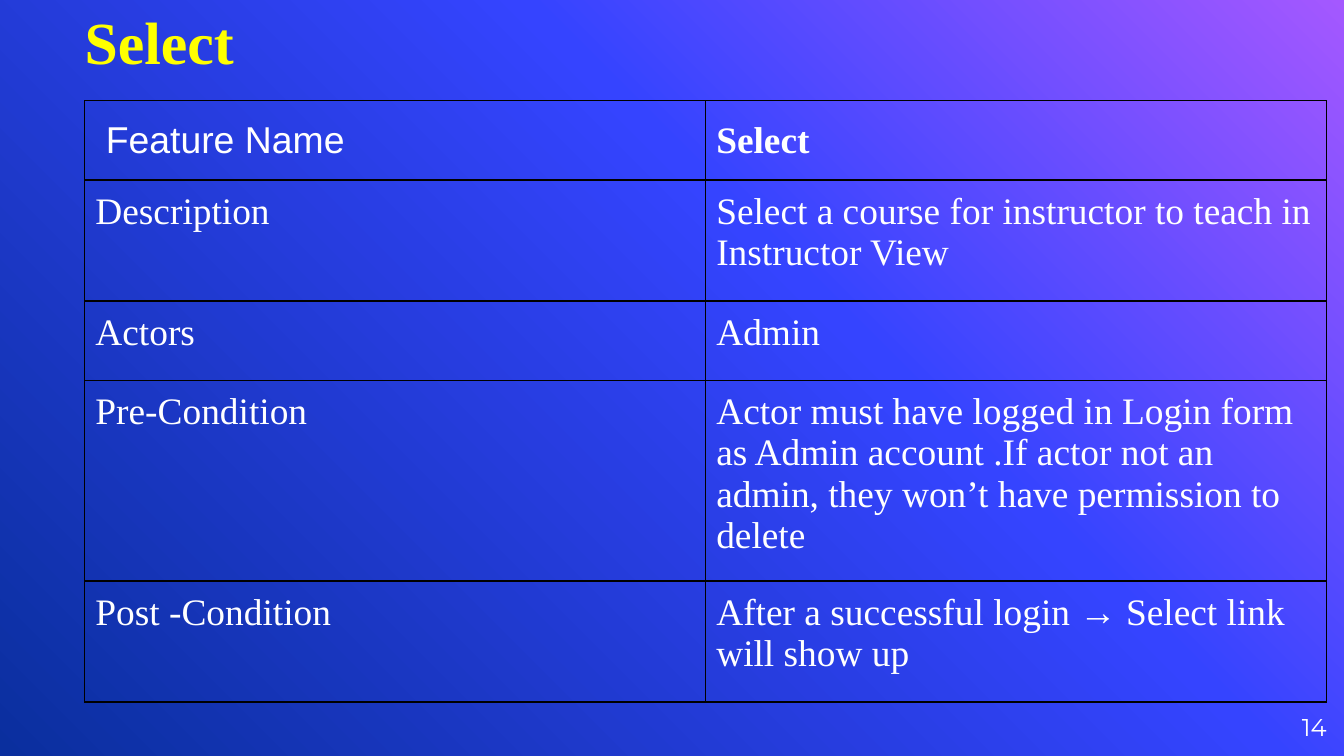
from copy import deepcopy

from lxml import etree
from pptx import Presentation
from pptx.dml.color import RGBColor
from pptx.enum.text import MSO_ANCHOR, PP_ALIGN
from pptx.oxml.ns import qn
from pptx.util import Inches, Pt

TOP, MIDDLE, BOTTOM = MSO_ANCHOR.TOP, MSO_ANCHOR.MIDDLE, MSO_ANCHOR.BOTTOM
LEFT, RIGHT = PP_ALIGN.LEFT, PP_ALIGN.RIGHT

COLORS = {"title": "FFFF00", "text": "FFFFFF", "border": "000000"}
BACKDROP = [(0, "A458FF"), (0.39, "3544FF"), (1, "0A2F9E")]
SERIF, SANS, NUMBER_FONT = "Times New Roman", "Arial", "Montserrat"

TITLE = "Select"
PAGE_NUMBER = "14"
# label, value, minimum row height (rows grow with their text)
FEATURE_ROWS = [
    (" Feature Name", "Select", 0.59),
    ("Description", "Select a course for instructor to teach in Instructor View", 0.9),
    ("Actors", "Admin", 0.59),
    ("Pre-Condition", "Actor must have logged in Login form as Admin account .If actor "
     "not an admin, they won’t have permission to delete", 0.59),
    ("Post -Condition", "After a successful login → Select link will show up", 0.9),
]
TABLE_LEFT, TABLE_TOP, COLUMN_WIDTH = 0.63, 0.75, 4.62
CELL_MARGIN = 0.08


def paint_background(slide):
    fill = slide.background.fill
    fill.gradient()
    fill.gradient_angle = 225  # counter-clockwise: runs from top right to bottom left
    stop_list = next(slide.element.iter(qn("a:gsLst")))
    stop_list.append(deepcopy(stop_list[0]))
    for stop, (position, color) in zip(fill.gradient_stops, BACKDROP):
        stop.position = position
        stop.color.rgb = RGBColor.from_string(color)


def style_text(frame, size, font, color, bold=False, align=LEFT):
    for paragraph in frame.paragraphs:
        paragraph.alignment = align
        for run in paragraph.runs:
            run.font.size = Pt(size)
            run.font.name = font
            run.font.bold = bold
            run.font.color.rgb = RGBColor.from_string(COLORS[color])


def add_label(slide, text, box, anchor, **style):
    frame = slide.shapes.add_textbox(*map(Inches, box)).text_frame
    frame.word_wrap = True
    frame.vertical_anchor = anchor
    frame.margin_left = frame.margin_right = frame.margin_top = frame.margin_bottom = 0
    frame.text = text
    style_text(frame, **style)


def add_borders(cell):
    properties = cell._tc.get_or_add_tcPr()
    for index, side in enumerate(("lnL", "lnR", "lnT", "lnB")):
        line = etree.Element(qn(f"a:{side}"), w=str(Pt(0.75)))
        solid = etree.SubElement(line, qn("a:solidFill"))
        etree.SubElement(solid, qn("a:srgbClr"), val=COLORS["border"])
        properties.insert(index, line)


def add_feature_table(slide):
    heights = [height for _, _, height in FEATURE_ROWS]
    table = slide.shapes.add_table(
        len(FEATURE_ROWS), 2, Inches(TABLE_LEFT), Inches(TABLE_TOP),
        Inches(2 * COLUMN_WIDTH), Inches(sum(heights))).table
    table.first_row = table.horz_banding = False
    for row_index, (label, value, height) in enumerate(FEATURE_ROWS):
        table.rows[row_index].height = Inches(height)
        is_header = row_index == 0
        for column_index, text in enumerate((label, value)):
            cell = table.cell(row_index, column_index)
            cell.text = text
            cell.fill.background()
            cell.vertical_anchor = MIDDLE if is_header else TOP
            cell.margin_left = cell.margin_right = Inches(CELL_MARGIN)
            cell.margin_top = cell.margin_bottom = Inches(CELL_MARGIN)
            is_label = column_index == 0
            style_text(cell.text_frame, 20, SANS if is_header and is_label else SERIF,
                       "text", bold=is_header and not is_label)
            add_borders(cell)


def main():
    deck = Presentation()
    deck.slide_width = Inches(10)
    deck.slide_height = deck.slide_width * 9 // 16
    blank = deck.slide_layouts[6]
    slide = deck.slides.add_slide(blank)
    paint_background(slide)
    add_label(slide, TITLE, (TABLE_LEFT, 0.1, 6.58, 0.47), BOTTOM,
              size=32, font=SERIF, color="title", bold=True)
    add_label(slide, PAGE_NUMBER, (9.27, 5.19, 0.6, 0.43), MIDDLE,
              size=13, font=NUMBER_FONT, color="text", align=RIGHT)
    add_feature_table(slide)
    deck.save("out.pptx")


if __name__ == "__main__":
    main()
